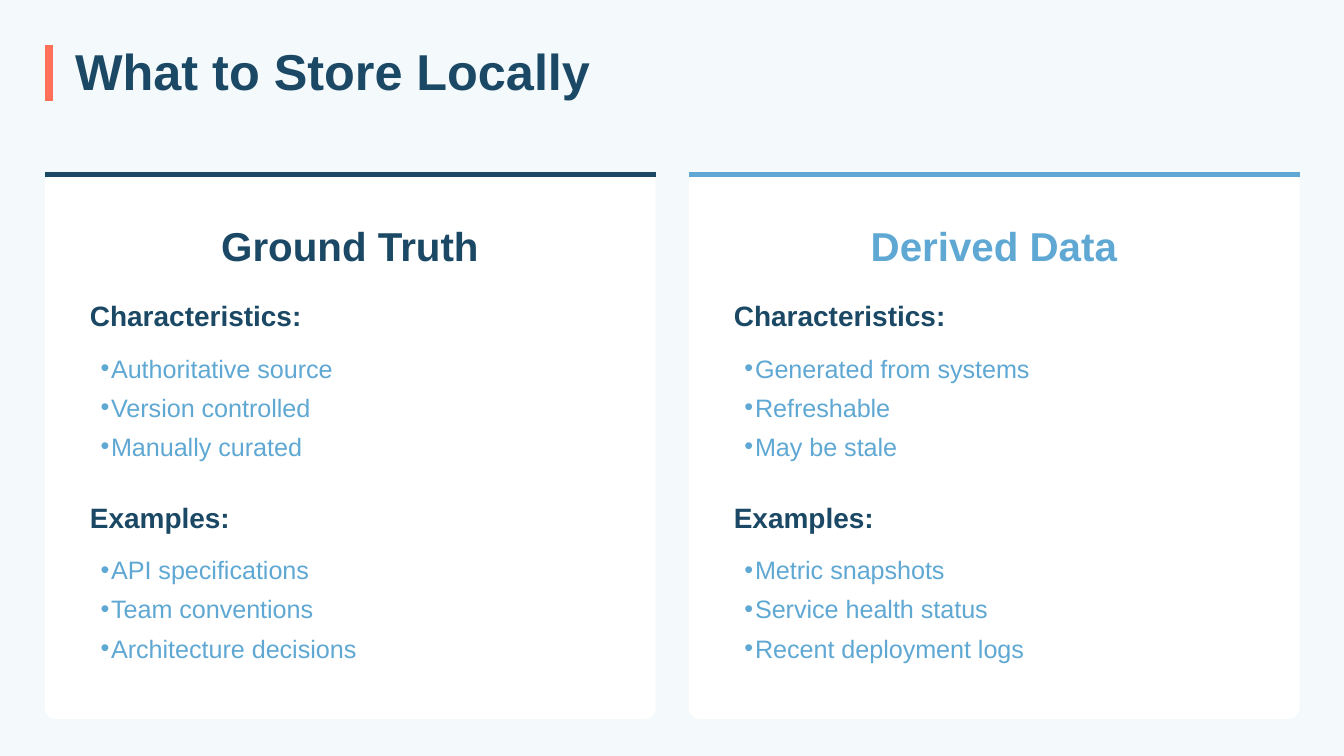
from lxml import etree
from pptx import Presentation
from pptx.dml.color import RGBColor
from pptx.enum.shapes import MSO_CONNECTOR, MSO_SHAPE
from pptx.enum.text import MSO_ANCHOR, MSO_AUTO_SIZE, PP_ALIGN
from pptx.oxml.ns import qn
from pptx.util import Cm, Pt

STRAIGHT, ROUND = MSO_CONNECTOR.STRAIGHT, MSO_SHAPE.ROUNDED_RECTANGLE
TOP, FIXED = MSO_ANCHOR.TOP, MSO_AUTO_SIZE.NONE
LEFT, CENTER = PP_ALIGN.LEFT, PP_ALIGN.CENTER

HUES = {"back": "F4F9FC", "card": "FFFFFF", "navy": "1B4965",
        "sky": "5FA8D3", "coral": "FF6F59"}
COLORS = {name: RGBColor.from_string(code) for name, code in HUES.items()}

# Text formats: size, line spacing, space before and after, in points
STYLES = {
    "title": dict(size=27, bold=True, align=LEFT, line=30, before=0, after=0),
    "head": dict(size=21.6, bold=True, align=CENTER, line=25.9, before=0, after=12),
    "label": dict(size=15, bold=True, align=LEFT, line=21, before=3, after=6),
    "list": dict(size=13.5, bold=False, align=LEFT, line=21, before=0, after=0),
}
CARDS = [
    ("Ground Truth", "navy", [
        ("Characteristics:", ["Authoritative source", "Version controlled", "Manually curated"]),
        ("Examples:", ["API specifications", "Team conventions", "Architecture decisions"])]),
    ("Derived Data", "sky", [
        ("Characteristics:", ["Generated from systems", "Refreshable", "May be stale"]),
        ("Examples:", ["Metric snapshots", "Service health status", "Recent deployment logs"])]),
]

prs = Presentation()
prs.slide_width, prs.slide_height = Cm(25.4), Cm(14.29)
slide = prs.slides.add_slide(prs.slide_layouts[4])  # title and four bodies
shapes = slide.shapes
slide.background.fill.solid()
slide.background.fill.fore_color.rgb = COLORS["back"]


def write(box, spot, lines, style, hue):
    """Place a text shape and fill it with formatted paragraphs."""
    look, bullet = STYLES[style], style == "list"
    box.left, box.top, box.width, box.height = [Cm(n) for n in spot]
    frame = box.text_frame
    frame.text = "\n".join(lines)
    form = dict(word_wrap=True, auto_size=FIXED, vertical_anchor=TOP,
                margin_left=Cm(0.2 if bullet else 0),
                margin_top=0, margin_right=0, margin_bottom=0)
    for key, value in form.items():
        setattr(frame, key, value)
    for para in frame.paragraphs:
        form = dict(alignment=look["align"], line_spacing=Pt(look["line"]),
                    space_before=Pt(look["before"]), space_after=Pt(look["after"]))
        for key, value in form.items():
            setattr(para, key, value)
        font = para.runs[0].font
        for key, value in dict(name="Arial", size=Pt(look["size"]), bold=look["bold"]).items():
            setattr(font, key, value)
        font.color.rgb = COLORS[hue]
        if bullet:
            props = para._p.get_or_add_pPr()
            props.set("marL", str(Cm(0.2)))
            props.set("indent", str(-Cm(0.2)))
            etree.SubElement(props, qn("a:buChar")).set("char", "•")
    shapes._spTree.append(box._element)  # bring to the front


def rule(x1, y1, x2, y2, hue, width):
    """Draw a straight line without a shadow."""
    line = shapes.add_connector(STRAIGHT, Cm(x1), Cm(y1), Cm(x2), Cm(y2))
    line.line.color.rgb = COLORS[hue]
    line.line.width = Pt(width)
    etree.SubElement(line._element.spPr, qn("a:effectLst"))


# Title with its accent bar
bodies = [box for box in slide.placeholders if box.placeholder_format.idx in (1, 2, 3, 4)]
rule(0.93, 0.85, 0.93, 1.9, "coral", 4.5)
write(shapes.title, (1.42, 0.85, 11.81, 1.07), ["What to Store Locally"], "title", "navy")

# Two cards, each with a heading and two lists
for col, (head, hue, parts) in enumerate(CARDS):
    x = 0.85 + col * 12.17
    card = shapes.add_shape(ROUND, Cm(x), Cm(3.25), Cm(11.54), Cm(10.34))
    card.adjustments[0] = 0.02
    card.shadow.inherit = False
    card.fill.solid()
    card.fill.fore_color.rgb = COLORS["card"]
    card.line.fill.background()
    rule(x, 3.3, x + 11.54, 3.3, hue, 3)
    write(shapes.add_textbox(0, 0, 0, 0), (x + 0.75, 4.19, 10.03, 0.91), [head], "head", hue)
    for row, (label, items) in enumerate(parts):
        y = 5.54 + row * 3.81
        write(shapes.add_textbox(0, 0, 0, 0), (x + 0.85, y, 10.03, 0.74), [label], "label", "navy")
        write(bodies.pop(0), (x + 0.85, y + 0.96, 9.86, 2.44), items, "list", "sky")

prs.save("out.pptx")
